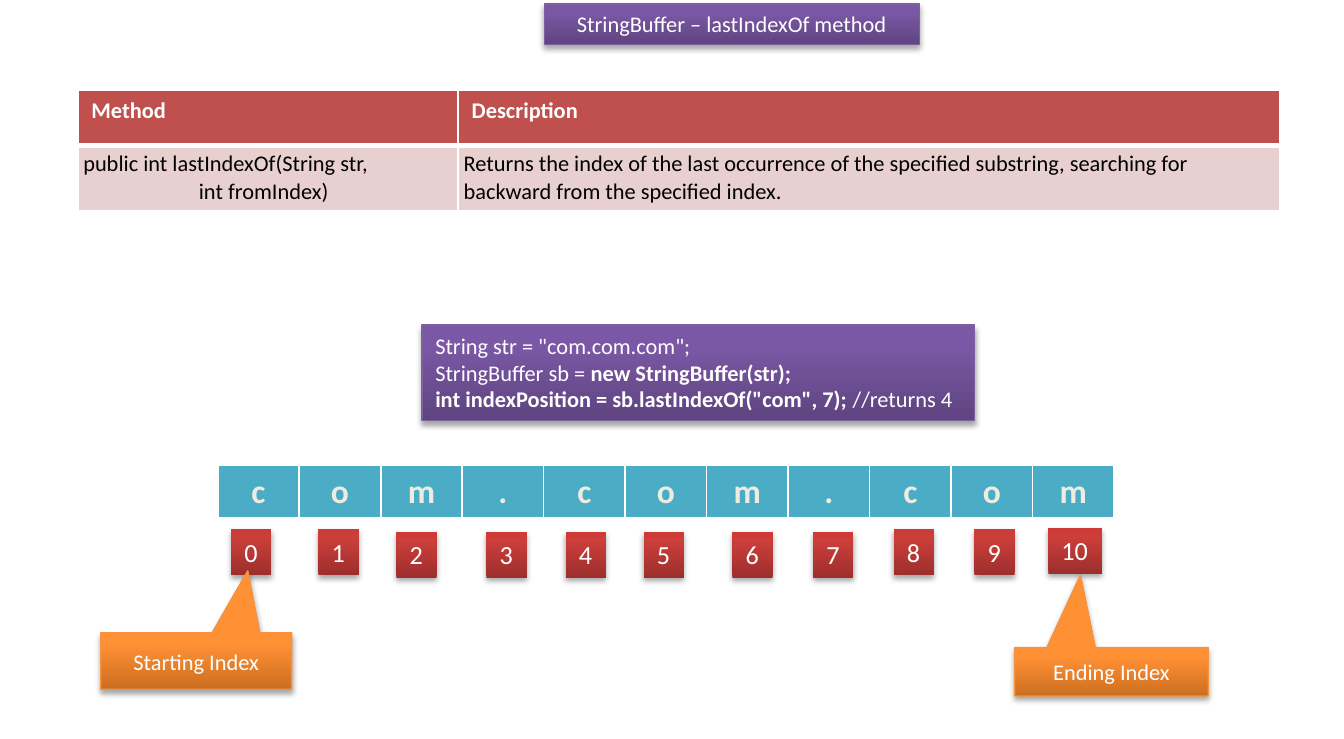
from pptx import Presentation
from pptx.dml.color import RGBColor
from pptx.enum.shapes import MSO_SHAPE as Shape
from pptx.enum.text import MSO_ANCHOR as Anchor, MSO_AUTO_SIZE as AutoSize, PP_ALIGN as Align
from pptx.oxml import parse_xml
from pptx.oxml.ns import nsdecls, qn
from pptx.util import Inches, Pt

FONT = "Calibri"
WHITE = RGBColor(0xFF, 0xFF, 0xFF)
BLACK = RGBColor(0x00, 0x00, 0x00)
CREAM = RGBColor(0xEE, 0xEC, 0xE1)
BRICK = RGBColor(0xC0, 0x50, 0x4D)
BLUSH = RGBColor(0xE8, 0xD0, 0xD0)
TEAL = RGBColor(0x4B, 0xAC, 0xC6)
PURPLE_LINE = RGBColor(0x7D, 0x60, 0xA0)
ORANGE_LINE = RGBColor(0xF6, 0x92, 0x40)

# Gradient colours from bottom to top
STOPS = (0, 80, 100)
PURPLE = (RGBColor(0x5F, 0x44, 0x80), RGBColor(0x7B, 0x58, 0xA6), RGBColor(0x7C, 0x57, 0xA8))
RED = (RGBColor(0x9C, 0x2F, 0x2D), RGBColor(0xCB, 0x3E, 0x3A), RGBColor(0xCE, 0x3B, 0x37))
ORANGE = (RGBColor(0xCC, 0x6E, 0x20), RGBColor(0xFF, 0x90, 0x34), RGBColor(0xFF, 0x91, 0x36))

# Content: a paragraph is a list of (text, bold) runs
TITLE = [[("StringBuffer – lastIndexOf method", False)]]
METHOD_HEADER = ["Method", "Description"]
SIGNATURE = ["public int lastIndexOf(String str,", "int fromIndex)"]
DESCRIPTION = ["Returns the index of the last occurrence of the specified substring, "
               "searching for backward from the specified index."]
CODE = [
    [('String str = "com.com.com";', False)],
    [("StringBuffer sb = ", False), ("new StringBuffer(str);", True)],
    [('int indexPosition = sb.lastIndexOf("com", 7); ', True), ("//returns 4", False)],
]
LETTERS = "com.com.com"
INDEX_PLACES = [(1.72, 3.94), (2.37, 3.94), (2.95, 3.96), (3.62, 3.96), (4.21, 3.96), (4.79, 3.96),
                (5.45, 3.96), (6.05, 3.96), (6.65, 3.94), (7.25, 3.94), (7.8, 3.93)]
CALLOUTS = [
    ("Starting Index", (0.75, 4.71, 1.42, 0.42), (0.27, -1.6)),
    ("Ending Index", (7.55, 4.82, 1.44, 0.36), (-0.16, -2.0)),
]


def write(frame, paragraphs, size, color, align=Align.LEFT):
    for number, runs in enumerate(paragraphs):
        paragraph = frame.paragraphs[0] if number == 0 else frame.add_paragraph()
        paragraph.alignment = align
        for text, bold in runs:
            run = paragraph.add_run()
            run.text = text
            run.font.name = FONT
            run.font.size = Pt(size)
            run.font.bold = bold
            run.font.color.rgb = color


def add_box(slide, kind, place, colors, line, paragraphs, size=12,
            align=Align.CENTER, anchor=Anchor.TOP):
    """Shape with a vertical gradient, a soft shadow and text."""
    shape = slide.shapes.add_shape(kind, *(Inches(value) for value in place))
    stops = "".join(f'<a:gs pos="{stop * 1000}"><a:srgbClr val="{color}"/></a:gs>'
                    for stop, color in zip(STOPS, colors))
    properties = shape._element.spPr
    properties.append(parse_xml(
        f'<a:gradFill {nsdecls("a")} rotWithShape="1"><a:gsLst>{stops}</a:gsLst>'
        '<a:lin ang="16200000" scaled="0"/></a:gradFill>'))
    if line is None:
        shape.line.fill.background()
    else:
        shape.line.color.rgb = line
        shape.line.width = Pt(0.75)
    shape.shadow.inherit = False
    properties.find(qn("a:effectLst")).append(parse_xml(
        f'<a:outerShdw {nsdecls("a")} blurRad="{Pt(3.1)}" dist="{Pt(1.8)}" dir="5400000" '
        'rotWithShape="0"><a:srgbClr val="000000"><a:alpha val="35000"/></a:srgbClr></a:outerShdw>'))
    frame = shape.text_frame
    frame.word_wrap = True
    frame.vertical_anchor = anchor
    write(frame, paragraphs, size, WHITE, align)
    return shape


def add_grid(slide, left, top, widths, heights):
    table = slide.shapes.add_table(len(heights), len(widths), Inches(left), Inches(top),
                                   Inches(sum(widths)), Inches(sum(heights))).table
    for column, width in zip(table.columns, widths):
        column.width = Inches(width)
    for row, height in zip(table.rows, heights):
        row.height = Inches(height)
    return table


def style_cell(cell, fill, top=1, bottom=1):
    cell.fill.solid()
    cell.fill.fore_color.rgb = fill
    properties = cell._tc.get_or_add_tcPr()
    for position, (side, width) in enumerate(zip("LRTB", (1, 1, top, bottom))):
        properties.insert(position, parse_xml(
            f'<a:ln{side} {nsdecls("a")} w="{Pt(width)}"><a:solidFill>'
            f'<a:srgbClr val="{WHITE}"/></a:solidFill></a:ln{side}>'))


presentation = Presentation()
presentation.slide_width = Inches(10)
presentation.slide_height = Inches(5.5)
slide = presentation.slides.add_slide(presentation.slide_layouts[6])

# Title
add_box(slide, Shape.RECTANGLE, (4.05, 0.03, 2.79, 0.3), PURPLE, PURPLE_LINE, TITLE)

# Method table
method_table = add_grid(slide, 0.58, 0.67, (2.83, 6.11), (0.41, 0.48))
for column, (header, body) in enumerate(zip(METHOD_HEADER, (SIGNATURE, DESCRIPTION))):
    cell = method_table.cell(0, column)
    style_cell(cell, BRICK, bottom=3)
    write(cell.text_frame, [[(header, True)]], 12, WHITE)
    cell = method_table.cell(1, column)
    style_cell(cell, BLUSH, top=3)
    cell.vertical_anchor = Anchor.MIDDLE
    cell.margin_left = cell.margin_right = cell.margin_top = cell.margin_bottom = Inches(0.04)
    write(cell.text_frame, [[(text, False)] for text in body], 12, BLACK)
second_line = method_table.cell(1, 0).text_frame.paragraphs[1]
second_line._p.get_or_add_pPr().set("marL", str(Inches(0.86)))

# Code sample
add_box(slide, Shape.RECTANGLE, (3.14, 2.42, 4.11, 0.71), PURPLE, PURPLE_LINE, CODE,
        align=Align.LEFT)

# Letters of the string
letter_table = add_grid(slide, 1.62, 3.46, [6.67 / len(LETTERS)] * len(LETTERS), [0.41])
for column, letter in enumerate(LETTERS):
    cell = letter_table.cell(0, column)
    style_cell(cell, TEAL, bottom=3)
    write(cell.text_frame, [[(letter, True)]], 18, CREAM, Align.CENTER)

# Index under each letter
for index, (left, top) in enumerate(INDEX_PLACES):
    width = 0.3 if index < 10 else 0.4
    box = add_box(slide, Shape.RECTANGLE, (left, top, width, 0.34), RED, None,
                  [[(str(index), False)]], 14, Align.LEFT)
    box.text_frame.word_wrap = False
    box.text_frame.auto_size = AutoSize.SHAPE_TO_FIT_TEXT

# Callouts for the two ends
for label, place, tip in CALLOUTS:
    callout = add_box(slide, Shape.RECTANGULAR_CALLOUT, place, ORANGE, ORANGE_LINE,
                      [[(label, False)]], anchor=Anchor.MIDDLE)
    callout.adjustments[0], callout.adjustments[1] = tip

presentation.save("out.pptx")
